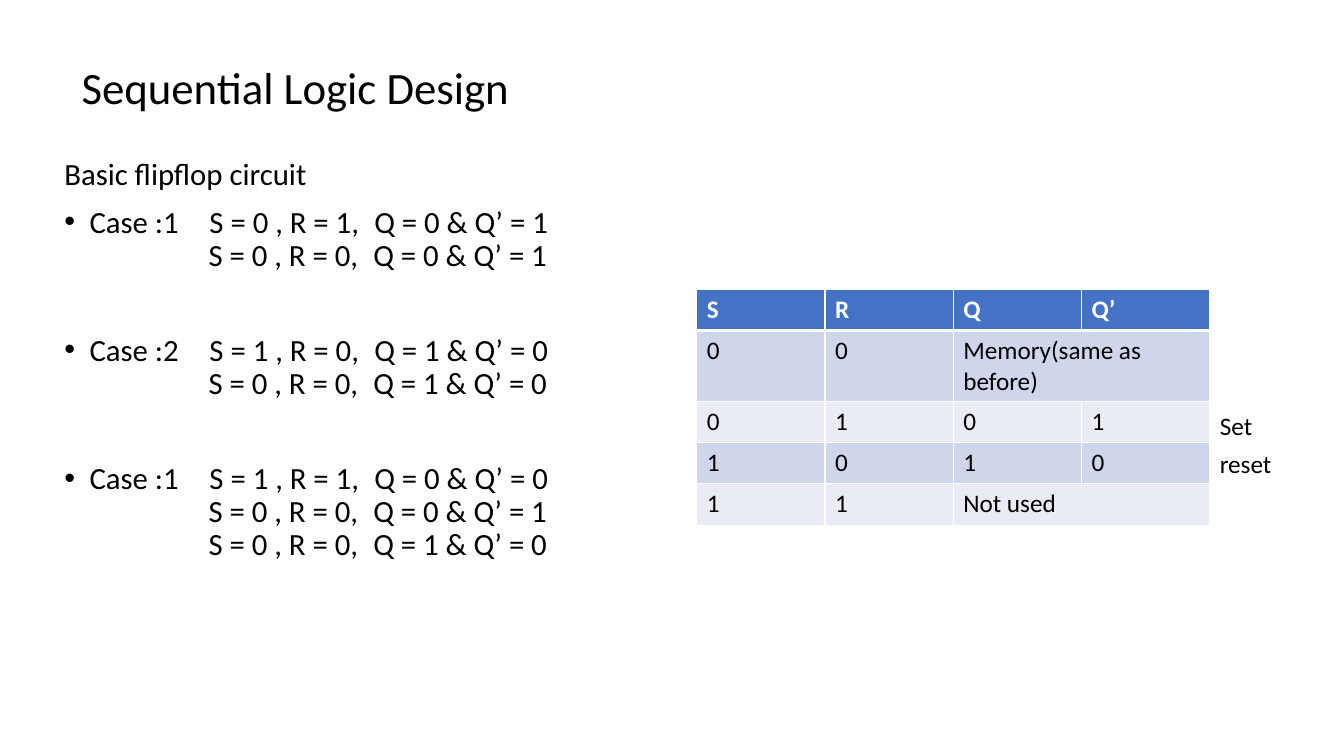
from dataclasses import dataclass
from typing import NamedTuple

from lxml import etree
from pptx import Presentation
from pptx import util as u
from pptx.dml.color import RGBColor
from pptx.enum import text
from pptx.oxml import ns

SLIDE_W, SLIDE_H = 13.33, 7.5
COLUMN, ROW = SLIDE_W / 100, SLIDE_H / 100
WIDE_GAP, MID_GAP = chr(0x2003), chr(0x2002)


@dataclass(frozen=True)
class Theme:
    """Colours, font and type sizes of the slide."""
    font: str = "Calibri"
    ink: str = "000000"
    paper: str = "FFFFFF"
    header: str = "4472C4"
    bands: tuple = ("CFD5EA", "E9EBF5")
    title_size: int = 32
    body_size: int = 22
    table_size: int = 18


class Box(NamedTuple):
    """Left, top, width and height in grid columns and rows."""
    left: float
    top: float
    width: float
    height: float

    def inches(self):
        """Return the box as lengths on the slide."""
        return [u.Inches(n * unit) for n, unit in zip(self, (COLUMN, ROW) * 2)]


THEME = Theme()

CASES = [
    ("Case :1", [("S = 0 , R = 1,", "Q = 0 & Q’ = 1"),
                 ("S = 0 , R = 0,", "Q = 0 & Q’ = 1")]),
    ("Case :2", [("S = 1 , R = 0,", "Q = 1 & Q’ = 0"),
                 ("S = 0 , R = 0,", "Q = 1 & Q’ = 0")]),
    ("Case :1", [("S = 1 , R = 1,", "Q = 0 & Q’ = 0"),
                 ("S = 0 , R = 0,", "Q = 0 & Q’ = 1"),
                 ("S = 0 , R = 0,", "Q = 1 & Q’ = 0")]),
]
TRUTH_ROWS = [
    ("S", "R", "Q", "Q’"),
    ("0", "0", "Memory(same as before)"),
    ("0", "1", "0", "1"),
    ("1", "0", "1", "0"),
    ("1", "1", "Not used"),
]
STATE_LABELS = [("Set", 4.35), ("reset", 5.93)]


def write(frame, words, size, color=THEME.ink, bold=False, line=1.0, before=0,
          margin=0, bullet=None):
    """Add one formatted paragraph to a text frame."""
    paragraph = frame.paragraphs[0]
    if paragraph.runs:
        paragraph = frame.add_paragraph()
    paragraph.line_spacing = line
    paragraph.space_before = u.Pt(before)
    run = paragraph.add_run()
    run.text = words
    run.font.name = THEME.font
    run.font.size = u.Pt(size)
    run.font.bold = bold
    run.font.color.rgb = RGBColor.from_string(color)
    if margin:
        props = paragraph._p.get_or_add_pPr()
        props.set("marL", str(u.Inches(margin)))
        props.set("indent", str(-u.Inches(margin) if bullet else 0))
        if bullet:
            etree.SubElement(props, ns.qn("a:buFont"), typeface="Arial")
            etree.SubElement(props, ns.qn("a:buChar"), char=bullet)


def add_frame(slide, box, wrap=True, anchor=text.MSO_ANCHOR.TOP):
    """Add a text box and return its text frame."""
    frame = slide.shapes.add_textbox(*box.inches()).text_frame
    frame.word_wrap = wrap
    frame.vertical_anchor = anchor
    return frame


def add_title(slide, box):
    """Place the slide title."""
    frame = add_frame(slide, box, anchor=text.MSO_ANCHOR.MIDDLE)
    write(frame, "Sequential Logic Design", THEME.title_size, line=0.9)


def add_cases(slide, box):
    """Place the heading and the bulleted flipflop cases."""
    frame = add_frame(slide, box)
    size = THEME.body_size
    write(frame, "Basic flipflop circuit", size, line=0.9, before=10)
    for number, (case, states) in enumerate(CASES):
        first, *following = [MID_GAP.join(state) for state in states]
        write(frame, case + WIDE_GAP + first, size, line=0.9,
              before=44 if number else 10, margin=0.25, bullet="•")
        for state in following:
            write(frame, state, size, line=0.9, margin=1.43)


def style_cell(cell, fill, top, bottom):
    """Give a cell its borders, in points, and its fill."""
    props = cell._tc.get_or_add_tcPr()
    for side, width in zip("LRTB", (1, 1, top, bottom)):
        border = etree.SubElement(props, ns.qn(f"a:ln{side}"), w=str(u.Pt(width)))
        solid = etree.SubElement(border, ns.qn("a:solidFill"))
        etree.SubElement(solid, ns.qn("a:srgbClr"), val=THEME.paper)
    cell.fill.solid()
    cell.fill.fore_color.rgb = RGBColor.from_string(fill)


def add_truth_table(slide, box):
    """Place the truth table with the state labels at its right."""
    columns = len(TRUTH_ROWS[0])
    table = slide.shapes.add_table(len(TRUTH_ROWS), columns, *box.inches()).table
    for r, values in enumerate(TRUTH_ROWS):
        heading = r == 0
        fill = THEME.header if heading else THEME.bands[(r - 1) % 2]
        for c in range(columns):
            style_cell(table.cell(r, c), fill, 3 if r == 1 else 1, 3 if heading else 1)
        if len(values) < columns:
            table.cell(r, len(values) - 1).merge(table.cell(r, columns - 1))
        for c, value in enumerate(values):
            write(table.cell(r, c).text_frame, value, THEME.table_size,
                  color=THEME.paper if heading else THEME.ink, bold=heading)
    for n, (label, width) in enumerate(STATE_LABELS):
        spot = Box(box.left + box.width, box.top + 15.33 + n * 5.07, width, 5.33)
        write(add_frame(slide, spot, wrap=False), label, THEME.table_size)


def main():
    """Build and save the slide."""
    deck = Presentation()
    deck.slide_width, deck.slide_height = u.Inches(SLIDE_W), u.Inches(SLIDE_H)
    slide = deck.slides.add_slide(deck.slide_layouts[6])
    add_title(slide, Box(5.33, 6.67, 81.02, 10.53))
    add_cases(slide, Box(4.05, 20.4, 49.06, 77.2))
    add_truth_table(slide, Box(51.84, 38.27, 38.18, 27.33))
    deck.save("out.pptx")


if __name__ == "__main__":
    main()
